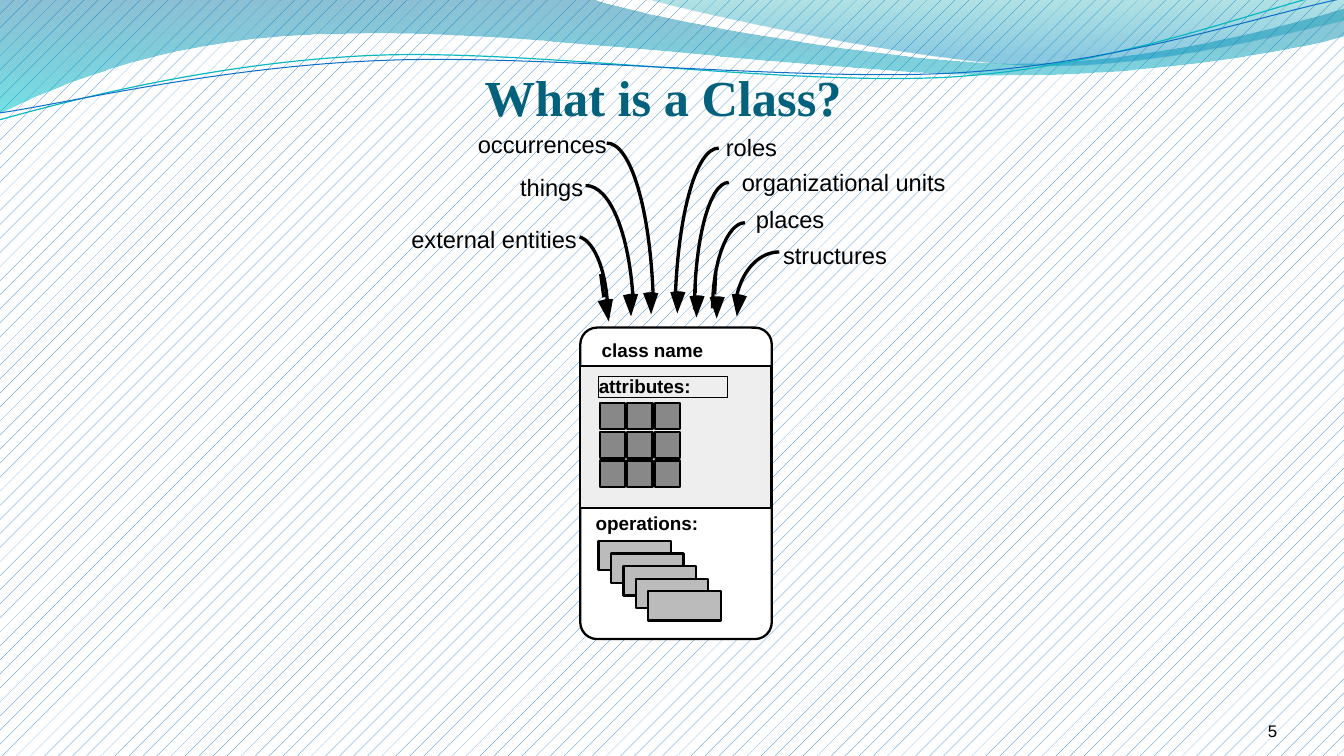
from lxml import etree
from pptx import Presentation
from pptx.dml.color import RGBColor
from pptx.enum.dml import MSO_PATTERN
from pptx.enum.shapes import MSO_CONNECTOR, MSO_SHAPE
from pptx.enum.text import MSO_ANCHOR, MSO_AUTO_SIZE, PP_ALIGN
from pptx.oxml.ns import qn
from pptx.util import Pt

RECT, ROUND_RECT = MSO_SHAPE.RECTANGLE, MSO_SHAPE.ROUNDED_RECTANGLE
STRAIGHT = MSO_CONNECTOR.STRAIGHT
LEFT, CENTER, RIGHT = PP_ALIGN.LEFT, PP_ALIGN.CENTER, PP_ALIGN.RIGHT
TOP, MIDDLE, BOTTOM = MSO_ANCHOR.TOP, MSO_ANCHOR.MIDDLE, MSO_ANCHOR.BOTTOM

BLACK = RGBColor(0x00, 0x00, 0x00)
WHITE = RGBColor(0xFF, 0xFF, 0xFF)
BLUE = RGBColor(0x0F, 0x6F, 0xC6)
TEAL = RGBColor(0x0A, 0xB8, 0xBF)
TITLE_COLOR = RGBColor(0x04, 0x61, 0x7B)
PANEL = RGBColor(0xEE, 0xEE, 0xEE)
CELL = RGBColor(0x88, 0x88, 0x88)
CARD = RGBColor(0xBB, 0xBB, 0xBB)

TITLE = "What is a Class?"
SLIDE_NUMBER = "5"

# Outlines: a pair is a straight step, six numbers are a Bezier step.
# Gradient stops: position, colour, opacity in percent.
BANDS = [
    ([(0, -0.7), (422.6, -0.7), (456.5, 12.2, 637.2, 45.4, 727.9, 45.4),
      (819.4, 45.4, 920.2, 18.7, 959.8, 6.5), (961.2, 25.9),
      (943.9, 31.7, 835.2, 54.7, 715.7, 54),
      (596.9, 54, 366.5, 20.2, 247, 24.5),
      (123.8, 25.2, 43.9, 59.8, -0.7, 81.4)],
     [(0, RGBColor(0x00, 0x74, 0xA1), 45), (1, RGBColor(0x00, 0xC6, 0xCF), 55)]),
    ([(460.1, -0.7), (488.9, 7.9, 654.5, 44.6, 738, 46.8),
      (821.5, 49.7, 923, 23, 959.8, 15.1), (959.8, 0)],
     [(0, RGBColor(0x00, 0xA1, 0xA9), 30), (0.8, RGBColor(0x00, 0x8B, 0xBF), 45)]),
]
WAVES = [
    ([(-0.7, 85.7), (46.1, 72.7, 151.9, 44.6, 265.7, 39.6),
      (379.4, 34.6, 568.8, 62.6, 684, 54.7),
      (799.2, 46.8, 901.4, 5.8, 958.3, -7.2)], TEAL, 0.85),
    ([(0, 80.6), (45.4, 74.2, 157, 47.5, 272.2, 43.2),
      (386.6, 38.2, 573.1, 59, 687.6, 51.8),
      (802.8, 44.6, 903.6, 10.1, 960.5, -1.4)], BLUE, 0.75),
]

# Label, its left, top and width, arrow curve,
# head (left x, left y, right y, tip x, tip y), short stem or None
SOURCES = [
    ("external entities", (293.8, 162.7, 119.5),
     [(414, 169.2), (425.5, 172.8, 434.2, 196.6, 434.2, 226.1)],
     (427, 215.3, 213.8, 434.9, 229.7), (431.3, 212.4, 429.1, 195.8)),
    ("things", (371.5, 126, 45.4),
     [(418.3, 132.5), (435.6, 132.5, 449.3, 166.3, 452.2, 213.1)],
     (445, 211, 210.2, 450.7, 226.1), None),
    ("occurrences", (341.3, 95, 92.9),
     [(433.4, 102.2), (450.7, 102.2, 464.4, 149.8, 466.6, 212.4)],
     (459.4, 209.5, 209.5, 465.1, 224.6), None),
    ("roles", (518.4, 97.2, 36.7),
     [(482.4, 212.4), (484.6, 151.9, 497.5, 105.8, 513.4, 105.8)],
     (478.8, 208.8, 208.8, 483.8, 223.9), None),
    ("organizational units", (529.9, 122.4, 146.9),
     [(496.1, 221), (496.1, 171.4, 506.9, 130.3, 520.6, 130.3)],
     (492.5, 211.7, 211.7, 497.5, 226.8), (496.8, 209.5, 496.8, 194.4)),
    ("places", (540, 149, 49.7),
     [(509, 220.3), (509, 186.5, 519.8, 159.1, 532.1, 159.1)],
     (506.9, 212.4, 212.4, 511.9, 227.5), (510.5, 210.2, 511.2, 195.1)),
    ("structures", (559.4, 174.2, 74.9),
     [(526.3, 211), (530.6, 192.2, 542.9, 180, 556.6, 180)],
     (522.7, 210.2, 211.7, 526.3, 226.1), None),
]
HEAD_WIDTH = 10.8
BOX_LEFT, BOX_LINE = 414.5, 1.63
CELL_ROWS = CELL_COLS = 3
CARDS = 5

prs = Presentation()
prs.slide_width, prs.slide_height = Pt(960), Pt(540)
s = prs.slides.add_slide(prs.slide_layouts[5])


def style(sp, fill=None, line=None, width=1):
    sp.shadow.inherit = False
    if fill is None:
        sp.fill.background()
    else:
        sp.fill.solid()
        sp.fill.fore_color.rgb = fill
    if line is None:
        sp.line.fill.background()
    else:
        sp.line.color.rgb = line
        sp.line.width = Pt(width)
    return sp


def outline(steps, close=False):
    """Draw a freeform, turning each six-number step into one Bezier segment."""
    points = [(Pt(step[i]), Pt(step[i + 1])) for step in steps for i in range(0, len(step), 2)]
    builder = s.shapes.build_freeform(*points[0])
    builder.add_line_segments(points[1:], close=close)
    sp = builder.convert_to_shape()
    segments = iter(list(sp._element.iter(qn("a:lnTo"))))
    for step in steps[1:]:
        segment = next(segments)
        if len(step) == 6:
            curve = etree.Element(qn("a:cubicBezTo"))
            segment.addprevious(curve)
            for part in (segment, next(segments), next(segments)):
                curve.append(part[0])
                part.getparent().remove(part)
    return sp


def box(x, y, w, h, fill, line_width=BOX_LINE, kind=RECT):
    sp = s.shapes.add_shape(kind, Pt(x), Pt(y), Pt(w), Pt(h))
    return style(sp, fill, BLACK, line_width)


def line(x1, y1, x2, y2, width):
    cn = s.shapes.add_connector(STRAIGHT, Pt(x1), Pt(y1), Pt(x2), Pt(y2))
    cn.line.color.rgb = BLACK
    cn.line.width = Pt(width)
    etree.SubElement(cn._element.spPr, qn("a:effectLst"))


def write(sp, text, size, bold=False, align=LEFT, anchor=TOP, wrap=False,
          spacing=0.9, font="Arial", color=BLACK, insets=(0, 0)):
    tf = sp.text_frame
    tf.text = text
    tf.word_wrap = wrap
    tf.auto_size = MSO_AUTO_SIZE.SHAPE_TO_FIT_TEXT
    tf.vertical_anchor = anchor
    tf.margin_left = tf.margin_right = Pt(insets[0])
    tf.margin_top = tf.margin_bottom = Pt(insets[1])
    p = tf.paragraphs[0]
    p.alignment, p.line_spacing = align, spacing
    f = p.runs[0].font
    f.name, f.size, f.bold, f.color.rgb = font, Pt(size), bold, color


def label(text, x, y, w, h, size, **options):
    write(s.shapes.add_textbox(Pt(x), Pt(y), Pt(w), Pt(h)), text, size, **options)


# Background and decoration
bg = s.background.fill
bg.patterned()
bg.pattern = MSO_PATTERN.PERCENT_5
bg.fore_color.rgb, bg.back_color.rgb = BLUE, WHITE
for steps, stops in BANDS:
    band = style(outline(steps, close=True))
    band.fill.gradient()
    band.fill.gradient_angle = 270
    for stop, (position, color, opacity) in zip(band.fill.gradient_stops, stops):
        stop.position = position
        stop.color.rgb = color
        srgb = stop._gs.find(qn("a:srgbClr"))
        etree.SubElement(srgb, qn("a:alpha"), val=str(opacity * 1000))
for steps, color, width in WAVES:
    style(outline(steps), line=color, width=width)

# Title and slide number
title = s.shapes.title
title.left, title.top, title.width, title.height = Pt(339.4), Pt(44.6), Pt(268.6), Pt(48.2)
write(title, TITLE, 36, bold=True, align=CENTER, anchor=MIDDLE, spacing=1.0,
      font="Times New Roman", color=TITLE_COLOR, insets=(5.8, 2.2))
label(SLIDE_NUMBER, 832.3, 500.4, 79.9, 28.8, 12,
      align=RIGHT, anchor=BOTTOM, wrap=True, spacing=1.0)

# Class box
box(BOX_LEFT, 234, 136.8, 222.5, WHITE, kind=ROUND_RECT).adjustments[0] = 0.088
for y in (262.4, 361.4):
    line(BOX_LEFT, y, 549.4, y, BOX_LINE)
label("class name", 429.8, 243.4, 73.4, 14.4, 13.5, bold=True)
box(BOX_LEFT, 261.4, 136.1, 101.5, PANEL)
write(box(427.7, 269.3, 92.2, 14.4, None, 0.75), "attributes:", 13.5, bold=True, wrap=True)
for row in range(CELL_ROWS):
    for col in range(CELL_COLS):
        box(428.4 + 19.7 * col, 288 + 20.5 * row, 18, 18.7, CELL)
label("operations:", 425.5, 367.2, 74.2, 14.4, 13.5, bold=True)
for i in range(CARDS):
    box(427.5 + 8.9 * i, 386.4 + 9 * i, 51.8, 20.9, CARD)

# Sources with their arrows
for text, (x, y, w), curve, (left, left_y, right_y, tip_x, tip_y), stem in SOURCES:
    label(text, x, y, w, 18.7, 16.9)
    style(outline(curve), line=BLACK, width=2.38)
    right = left + HEAD_WIDTH
    head = [(left, left_y),
            (left + HEAD_WIDTH / 3, left_y - 1, right - HEAD_WIDTH / 3, right_y - 1,
             right, right_y), (tip_x, tip_y)]
    style(outline(head, close=True), fill=BLACK)
    if stem:
        line(*stem, 2.38)

prs.save("out.pptx")
